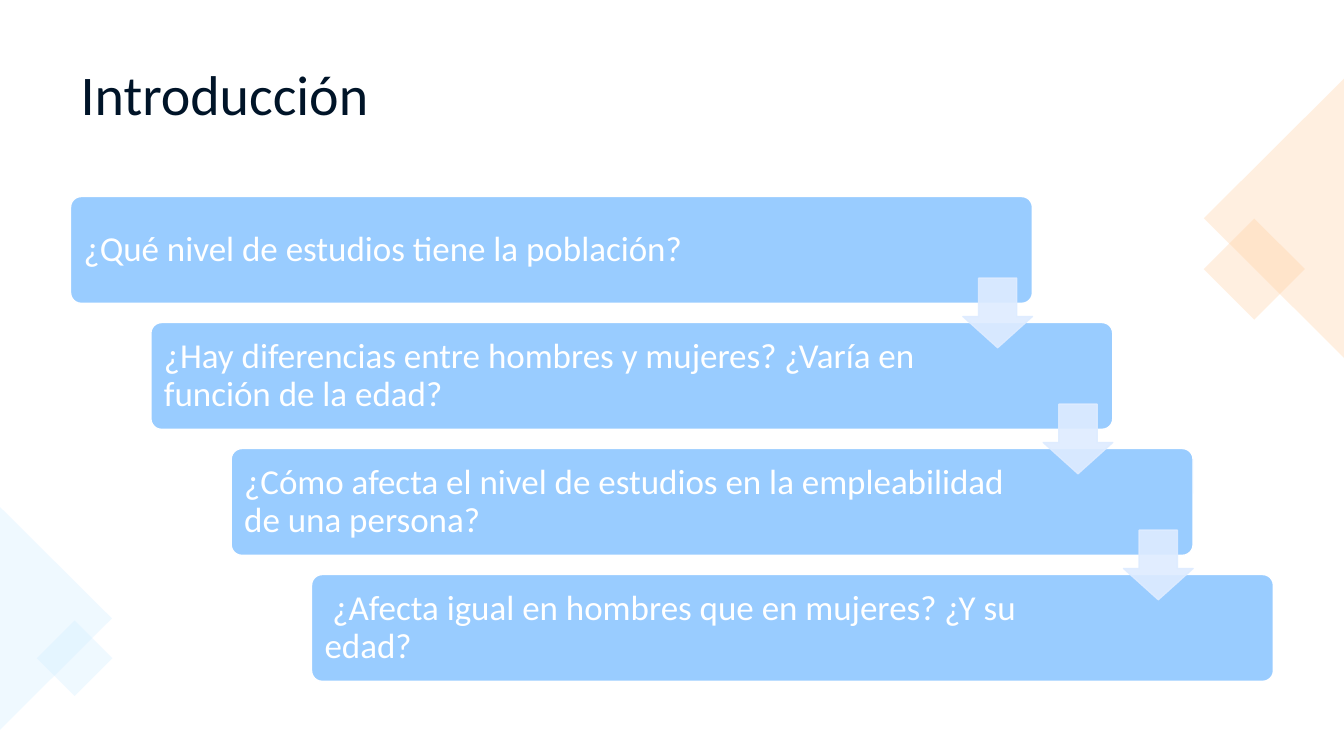
from dataclasses import dataclass

from lxml.etree import SubElement
from pptx import Presentation
from pptx.dml.color import RGBColor
from pptx.enum.shapes import MSO_SHAPE as Shape
from pptx.enum.text import MSO_ANCHOR as Anchor, MSO_AUTO_SIZE as AutoSize, PP_ALIGN as Align
from pptx.oxml.ns import qn
from pptx.util import Inches, Pt


@dataclass(frozen=True)
class Theme:
    """Colours, font and type sizes of the deck."""
    ink: str = "001428"
    white: str = "FFFFFF"
    step: str = "99CCFF"
    arrow: str = "DEECFF"
    peach: str = "FFCC99"
    ice: str = "CCECFF"
    font: str = "Calibri"
    title_size: int = 40
    step_size: int = 25


THEME = Theme()
QUESTIONS = (
    "¿Qué nivel de estudios tiene la población?",
    "¿Hay diferencias entre hombres y mujeres? ¿Varía en función de la edad?",
    "¿Cómo afecta el nivel de estudios en la empleabilidad de una persona?",
    " ¿Afecta igual en hombres que en mujeres? ¿Y su edad?",
)


def paint(fill, color, opacity=100):
    """Give a fill a solid colour with an opacity in percent."""
    fill.solid()
    fill.fore_color.rgb = RGBColor.from_string(color)
    if opacity < 100:
        for node in fill._xPr.iter(qn("a:srgbClr")):
            SubElement(node, qn("a:alpha"), val=str(opacity * 1000))


def add_block(page, kind, box, color, opacity=100, outline=None, rotation=0):
    """Add a preset shape with a fill and an optional outline."""
    block = page.shapes.add_shape(kind, *map(Inches, box))
    block.shadow.inherit = False
    block.rotation = rotation
    paint(block.fill, color, opacity)
    if outline:
        block.line.width = Pt(1)
        paint(block.line.fill, outline, opacity)
    else:
        block.line.fill.background()
    return block


def write(frame, text, size, color, **layout):
    """Put one left-aligned paragraph in a text frame."""
    settings = {"word_wrap": True, "auto_size": AutoSize.NONE,
                "vertical_anchor": Anchor.MIDDLE, **layout}
    for name, value in settings.items():
        setattr(frame, name, value)
    para = frame.paragraphs[0]
    para.alignment = Align.LEFT
    para.line_spacing = 0.9
    span = para.add_run()
    span.text = text
    for name, value in {"name": THEME.font, "size": Pt(size)}.items():
        setattr(span.font, name, value)
    span.font.color.rgb = RGBColor.from_string(color)


def add_title(page, box, text):
    """Place and format the title placeholder."""
    title = page.shapes.title
    for name, value in zip(("left", "top", "width", "height"), box):
        setattr(title, name, Inches(value))
    write(title.text_frame, text, THEME.title_size, THEME.ink)


def add_corner(page, box, color, rotation, diamond_center, diamond_side):
    """Add a triangle that fills an upright box at the page edge, and a small diamond."""
    left, top, width, height = box
    middle_x, middle_y = left + width / 2, top + height / 2
    triangle = (middle_x - height / 2, middle_y - width / 2, height, width)
    diamond_x, diamond_y = diamond_center
    diamond = (diamond_x - diamond_side / 2, diamond_y - diamond_side / 2,
               diamond_side, diamond_side)
    add_block(page, Shape.ISOSCELES_TRIANGLE, triangle, color, 30, rotation=rotation)
    add_block(page, Shape.RECTANGLE, diamond, color, 30, rotation=45)


def add_staircase(page, box, questions):
    """Spread the questions as descending steps joined by arrows."""
    left, top, width, height = box
    step_width, step_height, arrow_side = 9.54, 1.06, 0.69
    last = len(questions) - 1
    shift_x = (width - step_width) / last
    shift_y = (height - step_height) / last
    corners = [(left + index * shift_x, top + index * shift_y)
               for index in range(len(questions))]
    margins = {"margin_left": Inches(0.1), "margin_right": Inches(1.59),
               "margin_top": Inches(0.1), "margin_bottom": Inches(0.1)}
    for (step_x, step_y), question in zip(corners, questions):
        step = add_block(page, Shape.ROUNDED_RECTANGLE,
                         (step_x, step_y, step_width, step_height),
                         THEME.step, outline=THEME.white)
        step.adjustments[0] = 0.1
        write(step.text_frame, question, THEME.step_size, THEME.white, **margins)
    for step_x, step_y in corners[:-1]:
        arrow = add_block(page, Shape.DOWN_ARROW,
                          (step_x + step_width - arrow_side, step_y + 0.81,
                           arrow_side, arrow_side),
                          THEME.arrow, 90, outline=THEME.arrow)
        arrow.adjustments[0] = 0.45
        arrow.adjustments[0], arrow.adjustments[1] = 0.55, 0.45


def main():
    """Build and save the deck."""
    deck = Presentation()
    deck.slide_width, deck.slide_height = Inches(13.33), Inches(7.5)
    page = deck.slides.add_slide(deck.slide_layouts[5])
    paint(page.background.fill, THEME.white)
    add_title(page, (0.7, 0.35, 11.93, 1.24), "Introducción")
    add_corner(page, (11.94, 0.78, 1.39, 2.77), THEME.peach, 270, (12.44, 2.67), 0.71)
    add_corner(page, (0, 5.03, 1.11, 2.21), THEME.ice, 90, (0.74, 6.53), 0.53)
    add_staircase(page, (0.7, 1.95, 11.93, 4.81), QUESTIONS)
    deck.save("out.pptx")


if __name__ == "__main__":
    main()
